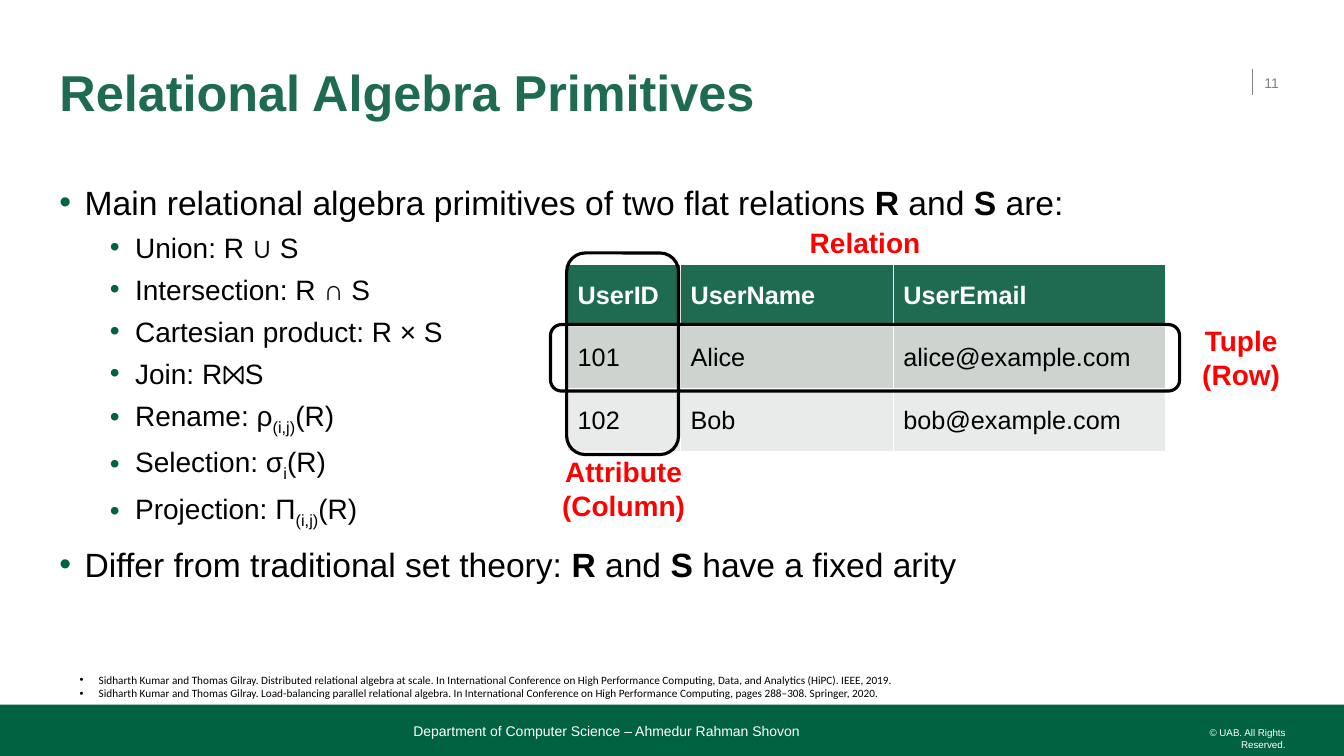
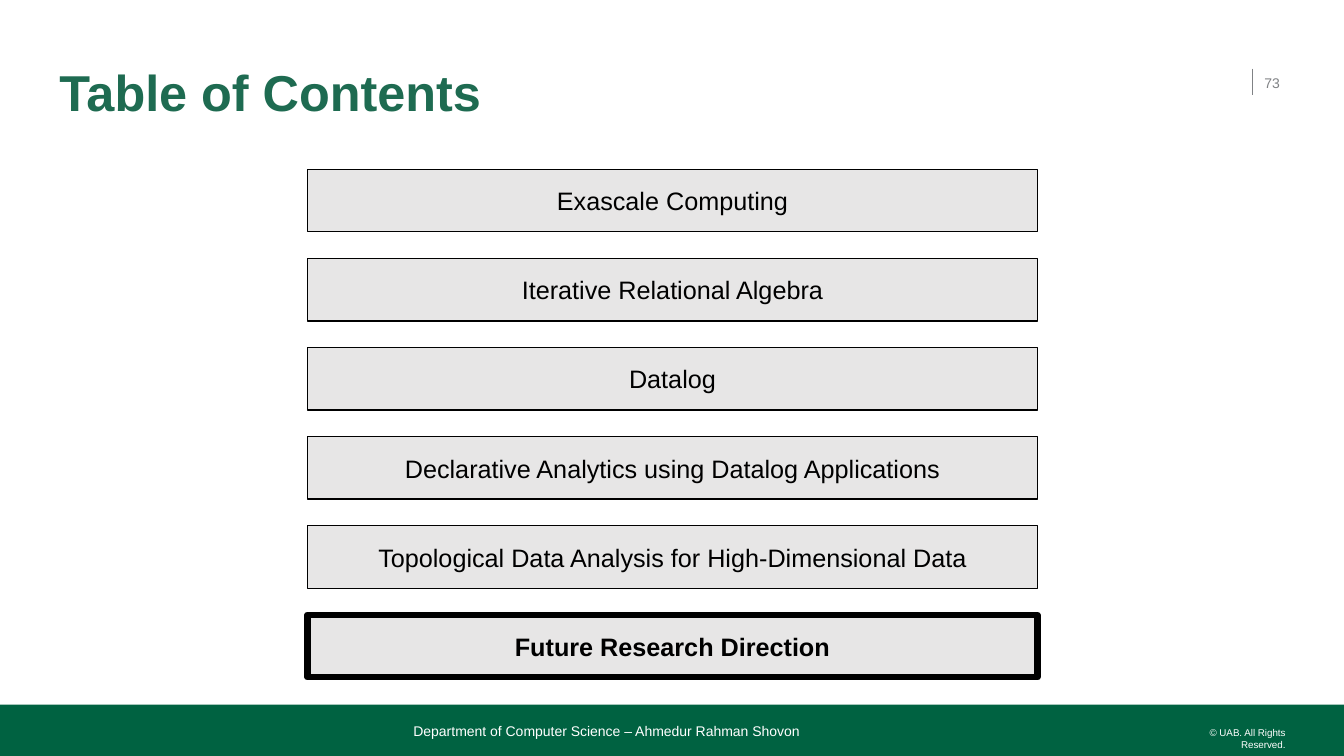
from dataclasses import dataclass
from typing import Optional

from lxml.etree import SubElement
from pptx import Presentation
from pptx.dml.color import RGBColor
from pptx.enum.shapes import MSO_CONNECTOR, MSO_SHAPE
from pptx.enum.text import MSO_ANCHOR, PP_ALIGN
from pptx.oxml.ns import qn
from pptx.shapes.autoshape import Shape
from pptx.slide import Slide
from pptx.util import Inches, Pt

BLACK = RGBColor(0x00, 0x00, 0x00)
WHITE = RGBColor(0xFF, 0xFF, 0xFF)
RED = RGBColor(0xFF, 0x00, 0x00)
GREY = RGBColor(0x80, 0x82, 0x85)
TITLE_GREEN = RGBColor(0x1E, 0x6B, 0x51)
BAND_GREEN = RGBColor(0x00, 0x62, 0x41)
AGENDA_FILL = RGBColor(0xE7, 0xE6, 0xE6)
ROW_FILLS = (TITLE_GREEN, RGBColor(0xCD, 0xD4, 0xD0), RGBColor(0xE8, 0xEB, 0xE9))


@dataclass(frozen=True)
class Box:
    left: float
    top: float
    width: float
    height: float

    def lengths(self) -> tuple:
        return tuple(Inches(v) for v in (self.left, self.top, self.width, self.height))


@dataclass(frozen=True)
class Style:
    size: float
    color: RGBColor = BLACK
    bold: bool = False
    font: str = "Arial"
    align: PP_ALIGN = PP_ALIGN.LEFT


@dataclass(frozen=True)
class Span:
    text: str
    bold: bool = False
    subscript: bool = False


@dataclass(frozen=True)
class Bullet:
    spans: tuple
    level: int = 0


@dataclass(frozen=True)
class Callout:
    lines: tuple
    box: Box


TITLE_STYLE = Style(36, TITLE_GREEN, bold=True)
NUMBER_STYLE = Style(10, GREY)
FOOTER_STYLE = Style(10, WHITE)
COPYRIGHT_STYLE = Style(7, WHITE, align=PP_ALIGN.RIGHT)
BODY_STYLES = (Style(24), Style(20))
BODY_SPACING = (10, 6)
REFERENCE_STYLE = Style(8, font="Calibri")
CALLOUT_STYLE = Style(20, RED, bold=True, align=PP_ALIGN.CENTER)

FLAT = (0, 0, 0, 0)
DEFAULT_INSETS = (0.1, 0.05, 0.1, 0.05)


def operation(name: str, symbol: str, index: str) -> Bullet:
    return Bullet((Span(f"{name}:\u00a0{symbol}"), Span(index, subscript=True), Span("(R)")), 1)


def about_r_and_s(before: str, after: str) -> Bullet:
    return Bullet((Span(before), Span("R", bold=True), Span(" and "),
                   Span("S", bold=True), Span(after)))


PRIMITIVES = (
    about_r_and_s("Main relational algebra primitives of two flat relations ", " are:"),
    Bullet((Span("Union:\u00a0R ∪ S"),), 1),
    Bullet((Span("Intersection:\u00a0R ∩ S"),), 1),
    Bullet((Span("Cartesian product:\u00a0R × S"),), 1),
    Bullet((Span("Join: R⨝S"),), 1),
    operation("Rename", "ρ", "(i,j)"),
    operation("Selection", "σ", "i"),
    operation("Projection", "Π", "(i,j)"),
    about_r_and_s("Differ from traditional set theory: ", " have a fixed arity"),
)

REFERENCES = (
    "Sidharth Kumar and Thomas Gilray. Distributed relational algebra at scale. In International "
    "Conference on High Performance Computing, Data, and Analytics (HiPC). IEEE, 2019.",
    "Sidharth Kumar and Thomas Gilray. Load-balancing parallel relational algebra. In International "
    "Conference on High Performance Computing, pages 288–308. Springer, 2020.",
)

USERS = (
    ("UserID", "UserName", "UserEmail"),
    ("101", "Alice", "alice@example.com"),
    ("102", "Bob", "bob@example.com"),
)
USER_COLUMNS = (1.12, 2.11, 2.7)

OUTLINES = (Box(5.62, 2.51, 1.11, 2), Box(5.46, 3.22, 6.24, 0.66))

CALLOUTS = (
    Callout(("Relation",), Box(5.63, 2.19, 5.9, 0.44)),
    Callout(("Attribute", "(Column)"), Box(5.01, 4.46, 2.35, 0.77)),
    Callout(("Tuple", "(Row)"), Box(11.47, 3.16, 1.68, 0.77)),
)

TOPICS = (
    "Exascale Computing",
    "Iterative Relational Algebra",
    "Datalog",
    "Declarative Analytics using Datalog Applications",
    "Topological Data Analysis for High-Dimensional Data",
    "Future Research Direction",
)
AGENDA_TOP, AGENDA_LAST = 1.68, 6.1


def add_spans(paragraph, spans: tuple, style: Style) -> None:
    paragraph.alignment = style.align
    for span in spans:
        run = paragraph.add_run()
        run.text = span.text
        run.font.name = style.font
        run.font.size = Pt(style.size)
        run.font.bold = style.bold or span.bold
        run.font.color.rgb = style.color
        if span.subscript:
            run._r.get_or_add_rPr().set("baseline", "-25000")


def set_bullet(paragraph, margin: float, hanging: float, color: RGBColor) -> None:
    properties = paragraph._p.get_or_add_pPr()
    properties.set("marL", str(Inches(margin)))
    properties.set("indent", str(-Inches(hanging)))
    bullet_color = SubElement(properties, qn("a:buClr"))
    SubElement(bullet_color, qn("a:srgbClr")).set("val", str(color))
    SubElement(properties, qn("a:buFont")).set("typeface", "Arial")
    SubElement(properties, qn("a:buChar")).set("char", "•")


def add_text_frame(slide: Slide, box: Box, insets: tuple = DEFAULT_INSETS,
                   anchor: MSO_ANCHOR = MSO_ANCHOR.TOP):
    frame = slide.shapes.add_textbox(*box.lengths()).text_frame
    frame.word_wrap = True
    frame.vertical_anchor = anchor
    (frame.margin_left, frame.margin_top,
     frame.margin_right, frame.margin_bottom) = (Inches(inset) for inset in insets)
    return frame


def next_paragraph(frame, index: int):
    return frame.add_paragraph() if index else frame.paragraphs[0]


def add_label(slide: Slide, box: Box, lines: tuple, style: Style, insets: tuple = DEFAULT_INSETS,
              anchor: MSO_ANCHOR = MSO_ANCHOR.TOP, line_spacing: Optional[float] = None) -> None:
    frame = add_text_frame(slide, box, insets, anchor)
    for index, line in enumerate(lines):
        paragraph = next_paragraph(frame, index)
        paragraph.line_spacing = line_spacing
        add_spans(paragraph, (Span(line),), style)


def add_block(slide: Slide, box: Box, fill: Optional[RGBColor] = None, line_width: float = 0,
              preset: MSO_SHAPE = MSO_SHAPE.RECTANGLE) -> Shape:
    block = slide.shapes.add_shape(preset, *box.lengths())
    block.shadow.inherit = False
    if fill is None:
        block.fill.background()
    else:
        block.fill.solid()
        block.fill.fore_color.rgb = fill
    if line_width:
        block.line.color.rgb = BLACK
        block.line.width = Pt(line_width)
    else:
        block.line.fill.background()
    return block


def add_base_slide(presentation, title: str, number: int) -> Slide:
    slide = presentation.slides.add_slide(presentation.slide_layouts[6])
    divider = slide.shapes.add_connector(
        MSO_CONNECTOR.STRAIGHT, Inches(12.42), Inches(0.68), Inches(12.42), Inches(0.94))
    divider.line.color.rgb = GREY
    divider.line.width = Pt(1)
    SubElement(divider._element.spPr, qn("a:effectLst"))
    add_block(slide, Box(0, 6.99, 13.33, 0.51), BAND_GREEN)
    add_label(slide, Box(11.55, 7.21, 1.2, 0.12), ("© UAB. All Rights Reserved.",),
              COPYRIGHT_STYLE, FLAT)
    add_label(slide, Box(0.59, 0.52, 11.63, 0.84), (title,), TITLE_STYLE, FLAT,
              MSO_ANCHOR.MIDDLE, 0.9)
    add_label(slide, Box(12.54, 0.62, 0.33, 0.4), (str(number),), NUMBER_STYLE,
              (0, 0.05, 0, 0.05), MSO_ANCHOR.MIDDLE)
    add_label(slide, Box(4.1, 7.11, 7.08, 0.23),
              ("Department of Computer Science – Ahmedur Rahman Shovon",),
              FOOTER_STYLE, FLAT, MSO_ANCHOR.BOTTOM)
    return slide


def add_primitives(slide: Slide) -> None:
    frame = add_text_frame(slide, Box(0.59, 1.8, 12.16, 4.76), FLAT)
    for index, bullet in enumerate(PRIMITIVES):
        paragraph = next_paragraph(frame, index)
        paragraph.level = bullet.level
        set_bullet(paragraph, 0.25 + 0.5 * bullet.level, 0.25, BAND_GREEN)
        if index:
            paragraph.space_before = Pt(BODY_SPACING[bullet.level])
        add_spans(paragraph, bullet.spans, BODY_STYLES[bullet.level])


def add_references(slide: Slide) -> None:
    frame = add_text_frame(slide, Box(0.69, 6.63, 11.85, 0.37))
    for index, reference in enumerate(REFERENCES):
        paragraph = next_paragraph(frame, index)
        set_bullet(paragraph, 0.19, 0.19, BLACK)
        add_spans(paragraph, (Span(reference),), REFERENCE_STYLE)


def add_users(slide: Slide) -> None:
    users = slide.shapes.add_table(
        len(USERS), len(USER_COLUMNS), *Box(5.63, 2.62, 5.93, 1.86).lengths()).table
    for column, width in zip(users.columns, USER_COLUMNS):
        column.width = Inches(width)
    for row_index, (values, fill) in enumerate(zip(USERS, ROW_FILLS)):
        heading = row_index == 0
        style = Style(18, WHITE if heading else BLACK, bold=heading)
        for column_index, value in enumerate(values):
            cell = users.cell(row_index, column_index)
            cell.fill.solid()
            cell.fill.fore_color.rgb = fill
            cell.vertical_anchor = MSO_ANCHOR.MIDDLE
            add_spans(cell.text_frame.paragraphs[0], (Span(value),), style)


def build_primitives(presentation) -> None:
    slide = add_base_slide(presentation, "Relational Algebra Primitives", 11)
    add_primitives(slide)
    add_references(slide)
    add_users(slide)
    for outline in OUTLINES:
        add_block(slide, outline, line_width=2.25, preset=MSO_SHAPE.ROUNDED_RECTANGLE)
    for callout in CALLOUTS:
        add_label(slide, callout.box, callout.lines, CALLOUT_STYLE)


def build_contents(presentation) -> None:
    slide = add_base_slide(presentation, "Table of Contents", 73)
    step = (AGENDA_LAST - AGENDA_TOP) / (len(TOPICS) - 1)
    for index, topic in enumerate(TOPICS):
        current = topic == TOPICS[-1]
        block = add_block(slide, Box(3.05, AGENDA_TOP + index * step, 7.24, 0.62),
                          AGENDA_FILL, 4.5 if current else 1)
        block.text_frame.vertical_anchor = MSO_ANCHOR.MIDDLE
        add_spans(block.text_frame.paragraphs[0], (Span(topic),),
                  Style(18, bold=current, align=PP_ALIGN.CENTER))


def main() -> None:
    presentation = Presentation()
    presentation.slide_width = Inches(13.33)
    presentation.slide_height = Inches(7.5)
    build_primitives(presentation)
    build_contents(presentation)
    presentation.save("out.pptx")


if __name__ == "__main__":
    main()
